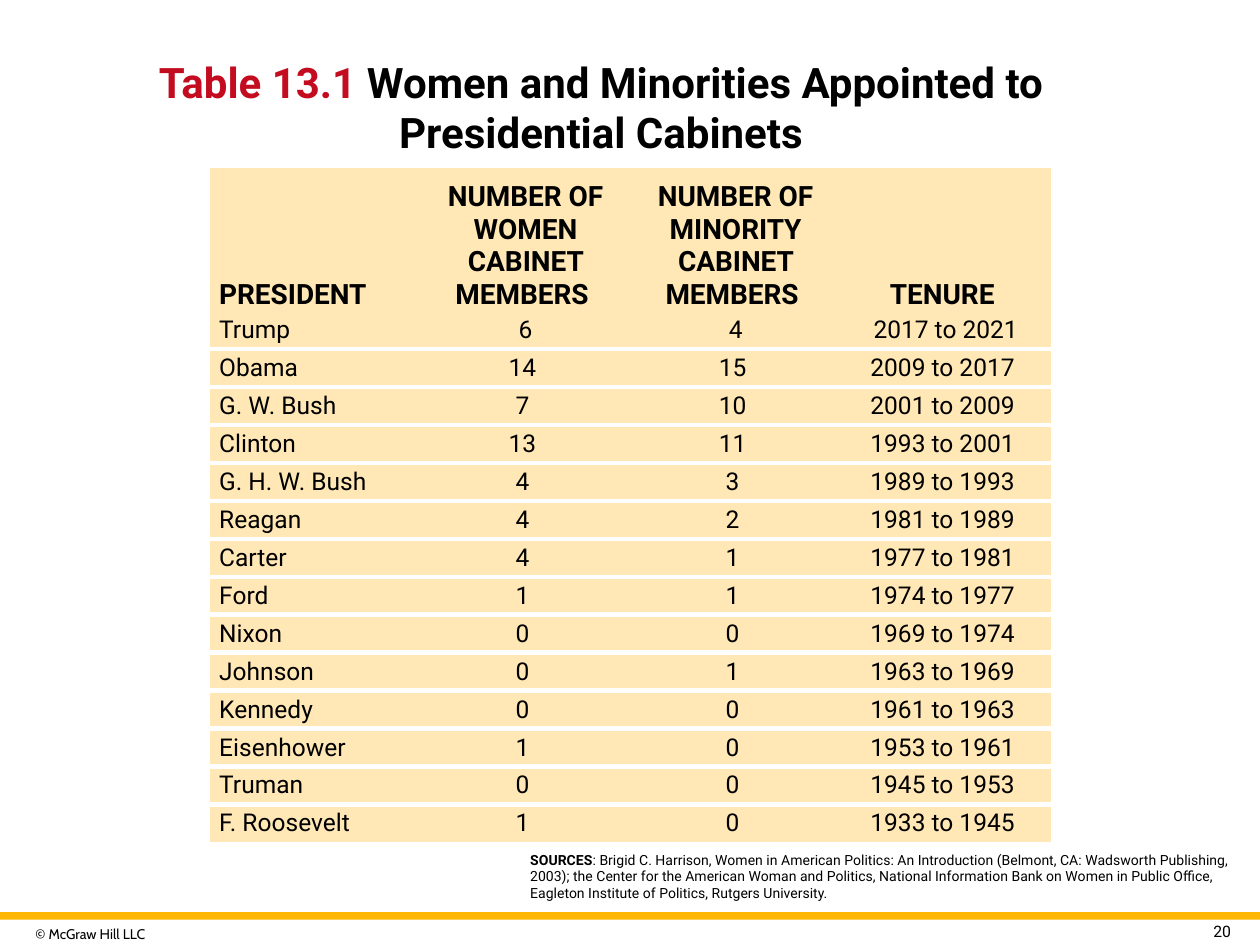
import pptx
import pptx.util
import pptx.dml.color
import pptx.enum.shapes
import pptx.enum.text
import pptx.oxml.ns
import lxml.etree

Inches = pptx.util.Inches
RGBColor = pptx.dml.color.RGBColor
ALIGN = pptx.enum.text.PP_ALIGN
ANCHOR = pptx.enum.text.MSO_ANCHOR

BLACK = RGBColor(0x00, 0x00, 0x00)
RED = RGBColor(0xC3, 0x0C, 0x20)
GOLD = RGBColor(0xFF, 0xB6, 0x00)
CREAM = RGBColor(0xFF, 0xE8, 0xB6)
WHITE = RGBColor(0xFF, 0xFF, 0xFF)

NO_STYLE_NO_GRID = "{2D5ABB26-0587-4C30-8999-92F81FD0307C}"
HEADER_HEIGHT = 1.14

HEADINGS = (
    "PRESIDENT",
    "NUMBER OF WOMEN CABINET MEMBERS ",
    "NUMBER OF MINORITY CABINET MEMBERS ",
    "TENURE ",
)
CABINETS = (
    ("Trump", "6", "4", "2017 to 2021"),
    ("Obama", "14 ", "15 ", "2009 to 2017 "),
    ("G. W. Bush", "7 ", "10 ", "2001 to 2009 "),
    ("Clinton", "13 ", "11 ", "1993 to 2001 "),
    ("G. H. W. Bush", "4 ", "3 ", "1989 to 1993 "),
    ("Reagan", "4 ", "2 ", "1981 to 1989 "),
    ("Carter", "4 ", "1 ", "1977 to 1981 "),
    ("Ford", "1 ", "1 ", "1974 to 1977 "),
    ("Nixon", "0 ", "0 ", "1969 to 1974 "),
    ("Johnson", "0 ", "1 ", "1963 to 1969 "),
    ("Kennedy", "0 ", "0 ", "1961 to 1963 "),
    ("Eisenhower", "1 ", "0 ", "1953 to 1961 "),
    ("Truman", "0 ", "0 ", "1945 to 1953 "),
    ("F. Roosevelt", "1 ", "0 ", "1933 to 1945 "),
)


def add_span(para, text, size, bold=False, color=BLACK, font="Roboto"):
    span = para.add_run()
    span.text = text
    span.font.name = font
    span.font.size = pptx.util.Pt(size)
    span.font.bold = bold
    span.font.color.rgb = color


def add_text_box(page, left, top, width, height, margins, align=ALIGN.LEFT):
    """Add a wrapped, vertically centred box and return its first paragraph."""
    box = page.shapes.add_textbox(Inches(left), Inches(top), Inches(width), Inches(height))
    frame = box.text_frame
    frame.word_wrap = True
    frame.vertical_anchor = ANCHOR.MIDDLE
    (frame.margin_left, frame.margin_top,
     frame.margin_right, frame.margin_bottom) = map(Inches, margins)
    para = frame.paragraphs[0]
    para.alignment = align
    return para


def add_title(page, left, top, width, height):
    para = add_text_box(page, left, top, width, height, (0.1, 0.05, 0.1, 0.05), ALIGN.CENTER)
    add_span(para, "Table 13.1 ", 24, True, RED)
    add_span(para, "Women and Minorities Appointed to Presidential Cabinets", 24, True)


def add_border(cell, side, position):
    """Draw a white 3 pt line on one side; lines come before the fill in the XML."""
    properties = cell._tc.get_or_add_tcPr()
    line = lxml.etree.Element(pptx.oxml.ns.qn("a:" + side), w=str(pptx.util.Pt(3)))
    fill = lxml.etree.SubElement(line, pptx.oxml.ns.qn("a:solidFill"))
    lxml.etree.SubElement(fill, pptx.oxml.ns.qn("a:srgbClr"), val=str(WHITE))
    properties.insert(position, line)


def fill_cell(cell, text, column, is_heading):
    cell.fill.solid()
    cell.fill.fore_color.rgb = CREAM
    cell.margin_left = cell.margin_right = Inches(0.07)
    cell.margin_top = cell.margin_bottom = 0
    cell.vertical_anchor = ANCHOR.BOTTOM if is_heading else ANCHOR.MIDDLE
    para = cell.text_frame.paragraphs[0]
    para.alignment = ALIGN.CENTER if column else ALIGN.LEFT
    if not is_heading:
        para.space_before = pptx.util.Pt(3)
    add_span(para, text, 16 if is_heading else 14, is_heading)


def add_cabinet_table(page, left, top, width, height):
    rows = (HEADINGS,) + CABINETS
    last = len(rows) - 1
    table = page.shapes.add_table(
        len(rows), len(HEADINGS), Inches(left), Inches(top), Inches(width), Inches(height)
    ).table
    table.first_row = table.horz_banding = False
    table._tbl.tblPr.find(pptx.oxml.ns.qn("a:tableStyleId")).text = NO_STYLE_NO_GRID
    for row_number, texts in enumerate(rows):
        row_height = (height - HEADER_HEIGHT) / last if row_number else HEADER_HEIGHT
        table.rows[row_number].height = Inches(row_height)
        for column, text in enumerate(texts):
            cell = table.cell(row_number, column)
            fill_cell(cell, text, column, row_number == 0)
            if 0 < row_number < last:
                add_border(cell, "lnB", 0)
            if row_number > 1:
                add_border(cell, "lnT", 0)


def add_sources(page, left, top, width, height):
    para = add_text_box(page, left, top, width, height, (0.1, 0.05, 0, 0.05))
    add_span(para, "SOURCES", 8, True)
    add_span(
        para,
        ": Brigid C. Harrison, Women in American Politics: An Introduction "
        "(Belmont, CA: Wadsworth Publishing, 2003); the Center for the American Woman "
        "and Politics, National Information Bank on Women in Public Office, "
        "Eagleton Institute of Politics, Rutgers University.",
        8,
    )


def add_footer(page, left, top, width):
    bar = page.shapes.add_shape(
        pptx.enum.shapes.MSO_SHAPE.RECTANGLE,
        Inches(left), Inches(top), Inches(width), Inches(0.06),
    )
    bar.shadow.inherit = False
    bar.fill.solid()
    bar.fill.fore_color.rgb = GOLD
    bar.line.fill.background()
    notice = add_text_box(page, left + 0.24, top + 0.05, 1.35, 0.24, (0.04, 0.05, 0.04, 0.05))
    add_span(notice, "© McGraw Hill LLC", 8, font="Cabin")
    number = add_text_box(
        page, left + width - 0.57, top + 0.06, 0.39, 0.18, (0.05,) * 4, ALIGN.RIGHT
    )
    add_span(number, "20", 9)


def main():
    deck = pptx.Presentation()
    deck.slide_width = Inches(10)
    deck.slide_height = Inches(7.5)
    page = deck.slides.add_slide(deck.slide_layouts[6])
    add_footer(page, 0, 7.24, 10)
    add_title(page, 0.54, 0.22, 8.46, 1.25)
    add_cabinet_table(page, 1.67, 1.33, 6.67, 5.36)
    add_sources(page, 4.11, 6.75, 5.92, 0.41)
    deck.save("out.pptx")


if __name__ == "__main__":
    main()
